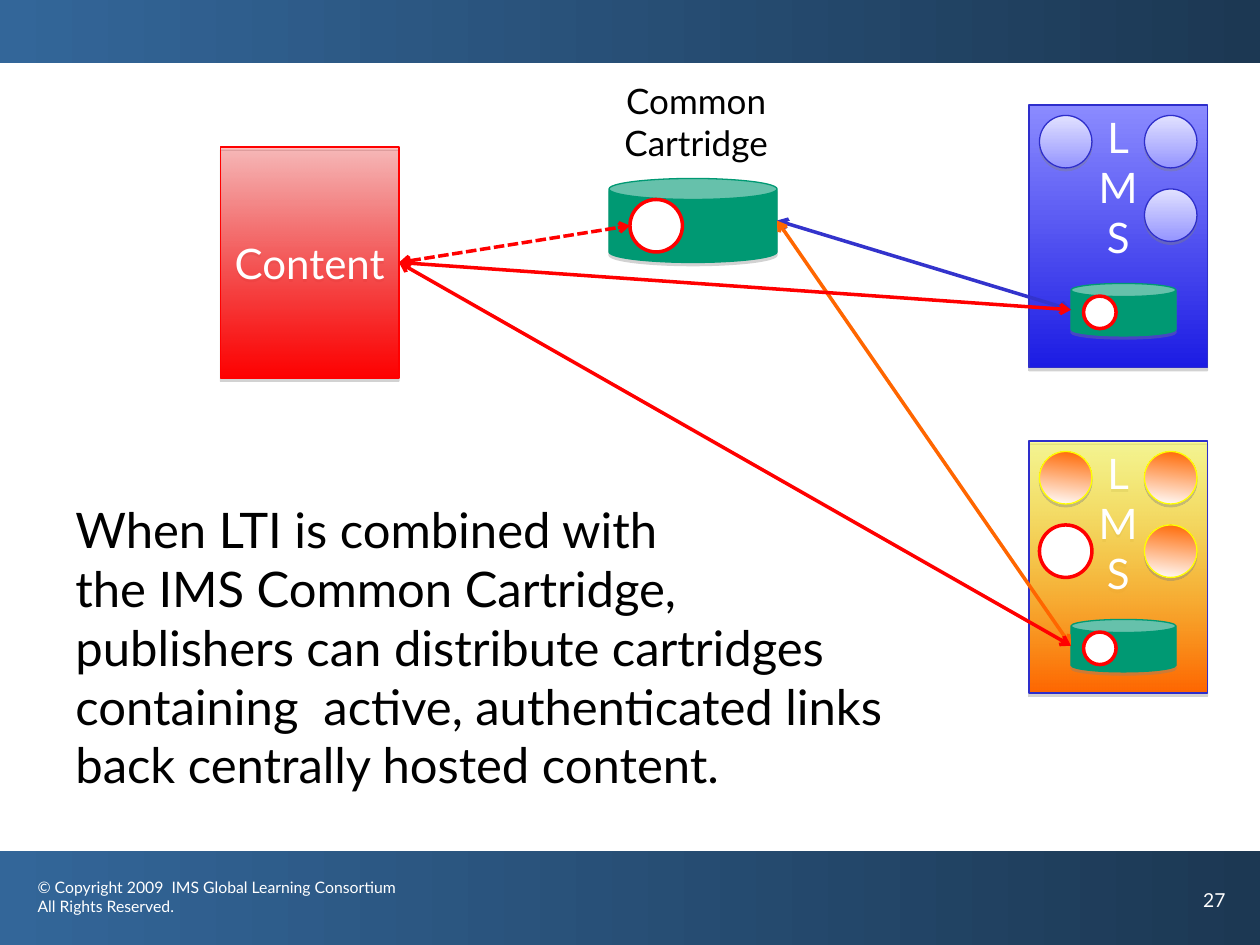
from dataclasses import dataclass

from lxml import etree
from pptx import Presentation
from pptx import util as u
from pptx.dml.color import RGBColor
from pptx.enum import dml, shapes, text
from pptx.oxml.ns import qn

COLUMNS, ROWS = 120, 90
WIDTH, HEIGHT = u.Inches(10), u.Inches(7.5)


@dataclass(frozen=True)
class Theme:
    font: str = "Lato"
    copyright_size: float = 9
    number_size: float = 11
    label_size: float = 20
    box_size: float = 24
    body_size: float = 28
    thin: float = 0.75
    thick: float = 2
    white: str = "FFFFFF"
    black: str = "000000"
    red: str = "FF0000"
    orange: str = "FF6600"
    yellow: str = "FFFF00"
    green: str = "009973"
    blue: str = "3333CC"
    outline: str = "2E2ECB"
    shadow: str = "808080"
    band: tuple = (("1C3853", 100), ("336699", 100))
    content: tuple = (("FF0000", 24), ("FF0000", 100))
    blue_lms: tuple = (("8B8BFF", 100), ("1C1CE3", 100))
    orange_lms: tuple = (("FFFF00", 38), ("FF6600", 100))
    blue_tool: tuple = (("E1E1FF", 100), ("9595FF", 100))
    orange_tool: tuple = (("FF6600", 100), ("FFFFFF", 100))


THEME = Theme()


def x(columns):
    return u.Emu(round(WIDTH * columns / COLUMNS))


def y(rows):
    return u.Emu(round(HEIGHT * rows / ROWS))


def place(area):
    left, top, width, height = area
    return x(left), y(top), x(width), y(height)


def rgb(colour):
    return RGBColor.from_string(colour)


def paint(fill, paint_value, angle):
    if isinstance(paint_value, str):
        fill.solid()
        fill.fore_color.rgb = rgb(paint_value)
        return
    fill.gradient()
    fill.gradient_angle = 360 - angle
    for stop, (colour, opacity) in zip(fill.gradient_stops, paint_value):
        stop.color.rgb = rgb(colour)
        if opacity < 100:
            tint = stop._gs.find(qn("a:srgbClr"))
            etree.SubElement(tint, qn("a:alpha"), val=str(opacity * 1000))


def cast_shadow(figure, opacity, distance):
    effects = figure._element.spPr.find(qn("a:effectLst"))
    shadow = etree.SubElement(effects, qn("a:outerShdw"), blurRad="0",
                              dist=str(u.Pt(distance)), dir="5400000",
                              algn="ctr", rotWithShape="0")
    tint = etree.SubElement(shadow, qn("a:srgbClr"), val=THEME.shadow)
    etree.SubElement(tint, qn("a:alpha"), val=str(opacity * 1000))


def add_figure(parent, preset, area, fill, line=None, weight=THEME.thin, angle=90):
    figure = parent.add_shape(preset, *place(area))
    paint(figure.fill, fill, angle)
    if line:
        figure.line.color.rgb = rgb(line)
        figure.line.width = u.Pt(weight)
    else:
        figure.line.fill.background()
    figure.shadow.inherit = False
    return figure


def write(frame, paragraphs, size, colour, align=text.PP_ALIGN.LEFT):
    for index, words in enumerate(paragraphs):
        paragraph = frame.add_paragraph() if index else frame.paragraphs[0]
        paragraph.text = words
        paragraph.alignment = align
        paragraph.font.name = THEME.font
        paragraph.font.size = u.Pt(size)
        paragraph.font.color.rgb = rgb(colour)


def add_words(parent, area, paragraphs, size, colour,
              align=text.PP_ALIGN.LEFT, wrap=True):
    frame = parent.add_textbox(*place(area)).text_frame
    frame.word_wrap = wrap
    write(frame, paragraphs, size, colour, align)


def add_band(parent, top, height):
    add_figure(parent, shapes.MSO_SHAPE.RECTANGLE, (0, top, COLUMNS, height),
               THEME.band, angle=180)


def add_system(parent, area, fill, line, paragraphs, anchor):
    system = add_figure(parent, shapes.MSO_SHAPE.RECTANGLE, area, fill, line)
    cast_shadow(system, 35, 1.8)
    system.text_frame.vertical_anchor = anchor
    write(system.text_frame, paragraphs, THEME.box_size, THEME.white,
          text.PP_ALIGN.CENTER)
    return system


def add_lms(parent, top, height, fill):
    add_system(parent, (98, top, 17, height), fill, THEME.outline, "LMS",
               text.MSO_ANCHOR.TOP)


def add_tool(parent, left, top, fill, line, angle=90):
    tool = add_figure(parent, shapes.MSO_SHAPE.OVAL, (left, top, 5, 5), fill, line,
                      angle=angle)
    cast_shadow(tool, 38, 1.6)


def add_link_spot(parent, left, top, size=5):
    add_figure(parent, shapes.MSO_SHAPE.OVAL, (left, top, size, size),
               THEME.white, THEME.red, THEME.thick)


def add_cartridge(parent, area):
    cartridge = add_figure(parent, shapes.MSO_SHAPE.CAN, area, THEME.green, THEME.green)
    cartridge.adjustments[0] = 0.25
    cast_shadow(cartridge, 35, 1.8)


def add_loaded_cartridge(parent, left, top):
    group = parent.add_group_shape()
    add_cartridge(group.shapes, (left, top, 10, 5))
    add_link_spot(group.shapes, left + 1.2, top + 1.2, 3.1)


def add_arrow(parent, start, end, colour, source=None, dash=None):
    arrow = parent.add_connector(shapes.MSO_CONNECTOR.STRAIGHT, x(start[0]),
                                 y(start[1]), x(end[0]), y(end[1]))
    if source is not None:
        arrow.begin_connect(source, 3)
    arrow.line.color.rgb = rgb(colour)
    arrow.line.width = u.Pt(THEME.thick)
    if dash:
        arrow.line.dash_style = dash
    outline = arrow.line._get_or_add_ln()
    for tip in ("a:headEnd", "a:tailEnd"):
        etree.SubElement(outline, qn(tip), type="arrow")
    etree.SubElement(arrow._element.spPr, qn("a:effectLst"))


def main():
    deck = Presentation()
    deck.slide_width, deck.slide_height = WIDTH, HEIGHT
    canvas = deck.slides.add_slide(deck.slide_layouts[6]).shapes

    add_band(canvas, 81.1, 8.9)
    add_words(canvas, (2.4, 83, 37.6, 6),
              ["© Copyright 2009  IMS Global Learning Consortium", "All Rights Reserved."],
              THEME.copyright_size, THEME.white)
    add_band(canvas, 0, 6)
    add_words(canvas, (113.4, 84, 6.6, 6), ["27"], THEME.number_size, THEME.white)

    add_lms(canvas, 10, 25, THEME.blue_lms)
    for left, top in ((99, 11), (109, 11), (109, 18)):
        add_tool(canvas, left, top, THEME.blue_tool, THEME.outline)

    content = add_system(canvas, (21, 14, 17, 22), THEME.content, THEME.red,
                         ["Content"], text.MSO_ANCHOR.MIDDLE)

    add_cartridge(canvas, (58, 17, 16, 8))
    add_link_spot(canvas, 60, 19)
    content_side, cartridge_side = (38, 25), (74, 21)
    add_arrow(canvas, content_side, (60, 21.5), THEME.red, content,
              dml.MSO_LINE.SQUARE_DOT)
    add_words(canvas, (57.7, 7, 17.2, 9.2), ["Common", "Cartridge"],
              THEME.label_size, THEME.black, text.PP_ALIGN.CENTER, wrap=False)

    add_lms(canvas, 42, 24, THEME.orange_lms)
    add_link_spot(canvas, 99, 50)
    for left, top in ((109, 43), (109, 50), (99, 43)):
        add_tool(canvas, left, top, THEME.orange_tool, THEME.yellow, 97)

    cartridge_tops = (27, 59)
    for top in cartridge_tops:
        add_loaded_cartridge(canvas, 102, top)
    loaded_sides = [(102, top + 2.5) for top in cartridge_tops]
    for side, colour in zip(loaded_sides, (THEME.blue, THEME.orange)):
        add_arrow(canvas, cartridge_side, side, colour)
    for side in loaded_sides:
        add_arrow(canvas, content_side, side, THEME.red, content)

    add_words(canvas, (6, 47, 87, 29.3),
              ["When LTI is combined with",
               "the IMS Common Cartridge, \npublishers can distribute cartridges "
               "containing  active, authenticated links back centrally hosted content."],
              THEME.body_size, THEME.black)
    deck.save("out.pptx")


if __name__ == "__main__":
    main()
